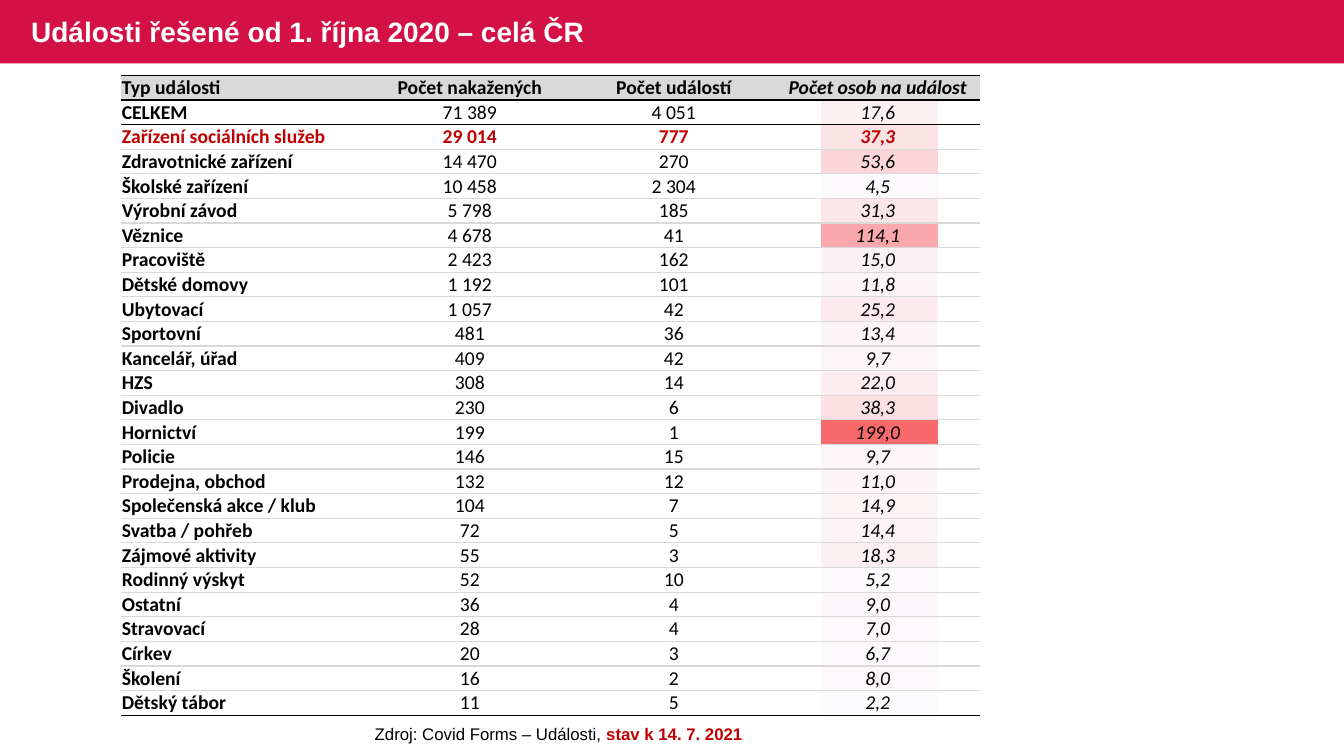
from lxml.etree import SubElement
from pptx import Presentation
from pptx.dml.color import RGBColor
from pptx.enum.shapes import MSO_SHAPE
from pptx.enum.text import MSO_ANCHOR, MSO_AUTO_SIZE, PP_ALIGN
from pptx.oxml import parse_xml
from pptx.oxml.ns import nsdecls, qn
from pptx.util import Cm, Pt

HUES = {"bar": "D31145", "white": "FFFFFF", "black": "000000",
        "red": "C00000", "grey": "D9D9D9", "low": "FCFCFF", "high": "F8696B"}
PLAIN = "{2D5ABB26-0587-4C30-8999-92F81FD0307C}"
ROW = 0.62
TOP = 1.9
HEAD = ("Typ události", "Počet nakažených", "Počet událostí", "Počet osob na událost")
ROWS = [
    ("CELKEM", "71 389", "4 051", "17,6"),
    ("Zařízení sociálních služeb", "29 014", "777", "37,3"),
    ("Zdravotnické zařízení", "14 470", "270", "53,6"),
    ("Školské zařízení", "10 458", "2 304", "4,5"),
    ("Výrobní závod", "5 798", "185", "31,3"),
    ("Věznice", "4 678", "41", "114,1"),
    ("Pracoviště", "2 423", "162", "15,0"),
    ("Dětské domovy", "1 192", "101", "11,8"),
    ("Ubytovací", "1 057", "42", "25,2"),
    ("Sportovní", "481", "36", "13,4"),
    ("Kancelář, úřad", "409", "42", "9,7"),
    ("HZS", "308", "14", "22,0"),
    ("Divadlo", "230", "6", "38,3"),
    ("Hornictví", "199", "1", "199,0"),
    ("Policie", "146", "15", "9,7"),
    ("Prodejna, obchod", "132", "12", "11,0"),
    ("Společenská akce / klub", "104", "7", "14,9"),
    ("Svatba / pohřeb", "72", "5", "14,4"),
    ("Zájmové aktivity", "55", "3", "18,3"),
    ("Rodinný výskyt", "52", "10", "5,2"),
    ("Ostatní", "36", "4", "9,0"),
    ("Stravovací", "28", "4", "7,0"),
    ("Církev", "20", "3", "6,7"),
    ("Školení", "16", "2", "8,0"),
    ("Dětský tábor", "11", "5", "2,2"),
]


def shades(rates):
    """Map each rate to a colour between the low and high ends of the scale."""
    least, most = min(rates), max(rates)
    low, high = (RGBColor.from_string(HUES[end]) for end in ("low", "high"))
    return [RGBColor(*(round(a + (b - a) * (rate - least) / (most - least))
                       for a, b in zip(low, high))) for rate in rates]


class Deck:
    """Hold the style and the current slide."""

    def __init__(self):
        """Open a wide deck with one title-only slide."""
        self.file = Presentation()
        self.file.slide_width, self.file.slide_height = Cm(33.87), Cm(19.05)
        self.slide = self.file.slides.add_slide(self.file.slide_layouts[5])
        self.shapes = self.slide.shapes

    def color(self, name):
        """Return a named colour."""
        return RGBColor.from_string(HUES[name])

    def run(self, para, text, size, face, hue="black", bold=False, slant=False):
        """Add one styled run."""
        run = para.add_run()
        run.text = text
        font = run.font
        font.size, font.name, font.bold, font.italic = Pt(size), face, bold, slant
        font.color.rgb = self.color(hue)

    def bar(self, left, top, width, height):
        """Draw the header band."""
        shape = self.shapes.add_shape(MSO_SHAPE.RECTANGLE, Cm(left), Cm(top), Cm(width), Cm(height))
        shape.shadow.inherit = False
        shape.fill.solid()
        shape.fill.fore_color.rgb = self.color("bar")
        shape.line.fill.background()

    def title(self, text, left, top, width, height):
        """Place the title in front of the band."""
        shape = self.shapes.title
        self.shapes._spTree.append(shape._element)
        shape.left, shape.top, shape.width, shape.height = map(Cm, (left, top, width, height))
        frame = shape.text_frame
        frame.auto_size = MSO_AUTO_SIZE.NONE
        frame.vertical_anchor = MSO_ANCHOR.MIDDLE
        para = frame.paragraphs[0]
        para.alignment, para.line_spacing = PP_ALIGN.LEFT, 0.9
        self.run(para, text, 20, "Arial", "white", True)

    def note(self, parts, left, top, width, height):
        """Add a centred line made of (text, colour, bold) parts."""
        frame = self.shapes.add_textbox(Cm(left), Cm(top), Cm(width), Cm(height)).text_frame
        frame.word_wrap = True
        frame.auto_size = MSO_AUTO_SIZE.SHAPE_TO_FIT_TEXT
        para = frame.paragraphs[0]
        para.alignment = PP_ALIGN.CENTER
        for text, hue, bold in parts:
            self.run(para, text, 12, "Arial", hue, bold)

    def grid(self, count, left, top, widths):
        """Add an unstyled table with even rows."""
        table = self.shapes.add_table(count, len(widths), Cm(left), Cm(top),
                                      Cm(sum(widths)), Cm(ROW * count)).table
        table.first_row = table.horz_banding = False
        table._tbl.tblPr.find(qn("a:tableStyleId")).text = PLAIN
        for col, width in zip(table.columns, widths):
            col.width = Cm(width)
        for row in table.rows:
            row.height = Cm(ROW)
        for cell in table.iter_cells():
            cell.margin_left = cell.margin_right = Cm(0.02)
            cell.margin_top, cell.margin_bottom = Cm(0.01), 0
            cell.vertical_anchor = MSO_ANCHOR.MIDDLE
            cell.fill.background()
        return table

    def edge(self, cell, tag, hue, spot):
        """Draw one border of a cell."""
        line = parse_xml(f'<a:{tag} {nsdecls("a")} w="12700"><a:solidFill>'
                         f'<a:srgbClr val="{HUES[hue]}"/></a:solidFill></a:{tag}>')
        cell._tc.get_or_add_tcPr().insert(spot, line)

    def heat(self, rates, left, top, width):
        """Add the column of shaded cells."""
        table = self.grid(len(rates), left, top, [width])
        for cell, shade in zip(table.iter_cells(), shades(rates)):
            cell.fill.solid()
            cell.fill.fore_color.rgb = shade
            para = cell.text_frame.paragraphs[0]
            SubElement(para._p, qn("a:endParaRPr"), sz="1000")

    def data(self, rows, left, top, widths):
        """Add the table of events."""
        table = self.grid(len(rows), left, top, widths)
        dark = {0, 1, 2, len(rows)}
        for i, row in enumerate(rows):
            for j, text in enumerate(row):
                cell = table.cell(i, j)
                if i == 0:
                    cell.fill.solid()
                    cell.fill.fore_color.rgb = self.color("grey")
                para = cell.text_frame.paragraphs[0]
                para.alignment = PP_ALIGN.CENTER if j else PP_ALIGN.LEFT
                self.run(para, text, 14, "Calibri", "red" if i == 2 else "black",
                         j == 0 or i in (0, 2), j == 3)
                for spot, tag in enumerate(("lnT", "lnB")):
                    self.edge(cell, tag, "black" if i + spot in dark else "grey", spot)


def main():
    """Build and save the slide."""
    deck = Deck()
    deck.bar(0, 0, 33.87, 1.6)
    rates = [float(row[3].replace(",", ".")) for row in ROWS]
    deck.heat(rates, 20.68, TOP + ROW, 2.95)
    deck.title("Události řešené od 1. října 2020 – celá ČR", 0.53, 0.05, 20.65, 1.6)
    deck.note([("Zdroj: Covid Forms – Události, ", "black", False),
               ("stav k 14. 7. 2021", "red", True)], 5.23, 18.11, 17.7, 0.77)
    deck.data([HEAD] + ROWS, 3.05, TOP, [6.22] + [5.14] * 3)
    deck.file.save("out.pptx")


if __name__ == "__main__":
    main()
